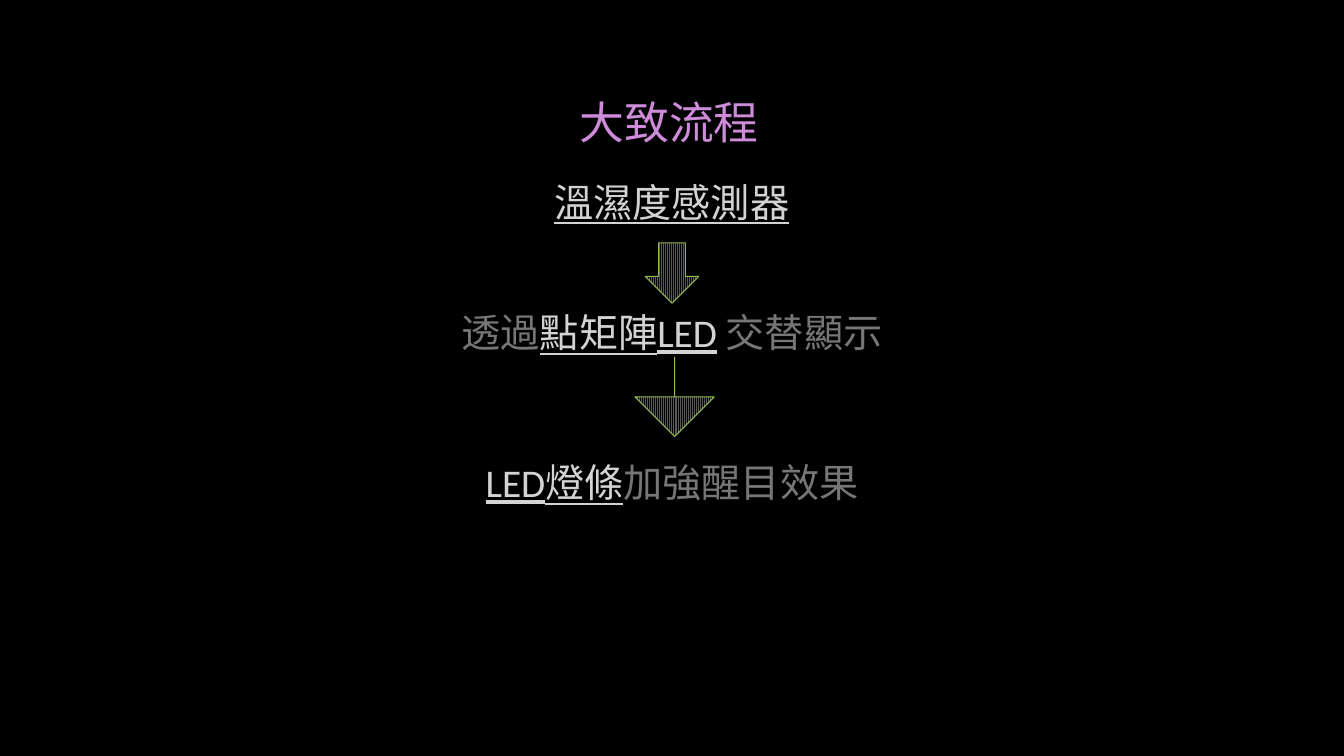
from pptx import Presentation
from pptx import util as u
from pptx.dml.color import RGBColor
from pptx.enum import dml, shapes, text
from pptx.oxml.xmlchemy import OxmlElement

COLORS = {
    "black": "000000", "title": "CD8BDA", "key": "D3D3D3", "plain": "767676",
    "stripe": "595959", "green": "90BA4C", "sketch": "93BC51",
}
SLIDE_WIDTH, SLIDE_HEIGHT = 33.87, 19.05
CENTER = SLIDE_WIDTH / 2


def color(name):
    return RGBColor.from_string(COLORS[name])


class FlowSlide:
    font = "Calibri"
    step_size = 28
    step_width, step_height = 16.94, 1.45
    arrow_width = 1.35

    def __init__(self, presentation):
        self.slide = presentation.slides.add_slide(presentation.slide_layouts[1])
        background = self.slide.background.fill
        background.solid()
        background.fore_color.rgb = color("black")

    def add_wording(self, frame, pieces, size, align, after=0):
        """Fill a text frame with (wording, colour, underlined) pieces."""
        frame.word_wrap = True
        paragraph = frame.paragraphs[0]
        spacing = {"alignment": align, "space_before": u.Pt(0), "space_after": u.Pt(after)}
        for name, value in spacing.items():
            setattr(paragraph, name, value)
        for wording, tone, underlined in pieces:
            run = paragraph.add_run()
            run.text = wording
            style = {"name": self.font, "size": u.Pt(size), "underline": underlined}
            for name, value in style.items():
                setattr(run.font, name, value)
            run.font.color.rgb = color(tone)
        return paragraph

    def place(self, holder, left, top, width, height):
        box = {"left": left, "top": top, "width": width, "height": height}
        for name, value in box.items():
            setattr(holder, name, u.Cm(value))
        holder.text_frame.auto_size = text.MSO_AUTO_SIZE.NONE
        holder.text_frame.vertical_anchor = text.MSO_ANCHOR.MIDDLE
        return holder.text_frame

    def title(self, wording):
        frame = self.place(self.slide.shapes.title, 14.35, 1.88, 5.18, 2.39)
        self.add_wording(frame, [(wording, "title", False)], 32, text.PP_ALIGN.LEFT)

    def first_step(self, wording):
        frame = self.place(self.slide.placeholders[1], 13.13, 4.42, 7.6, 1.32)
        paragraph = self.add_wording(frame, [(wording, "key", True)], self.step_size,
                                     text.PP_ALIGN.CENTER, after=10)
        properties = paragraph._p.get_or_add_pPr()
        properties.set("marL", "0")
        properties.set("indent", "0")
        properties.append(OxmlElement("a:buNone"))

    def step(self, top, pieces):
        box = self.slide.shapes.add_textbox(
            u.Cm(CENTER - self.step_width / 2), u.Cm(top),
            u.Cm(self.step_width), u.Cm(self.step_height))
        self.add_wording(box.text_frame, pieces, self.step_size, text.PP_ALIGN.CENTER)

    def hatch(self, arrow, outline):
        arrow.shadow.inherit = False
        arrow.fill.patterned()
        arrow.fill.pattern = dml.MSO_PATTERN.NARROW_VERTICAL
        arrow.fill.fore_color.rgb = color("stripe")
        arrow.fill.back_color.rgb = color("black")
        arrow.line.color.rgb = color(outline)
        arrow.line.width = u.Pt(0.75)

    def arrow(self, top, height):
        arrow = self.slide.shapes.add_shape(
            shapes.MSO_SHAPE.DOWN_ARROW, u.Cm(CENTER - self.arrow_width / 2),
            u.Cm(top), u.Cm(self.arrow_width), u.Cm(height))
        self.hatch(arrow, "green")

    def sketched_arrow(self, top, height):
        half, shaft = self.arrow_width / 2, self.arrow_width / 4
        tip = top + height
        neck = tip - half
        outline = [(-shaft, neck), (-shaft, top), (shaft, top), (shaft, neck),
                   (half, neck), (0, tip)]
        builder = self.slide.shapes.build_freeform(CENTER - half, neck, scale=u.Cm(1))
        builder.add_line_segments([(CENTER + x, y) for x, y in outline], close=True)
        self.hatch(builder.convert_to_shape(), "sketch")


def main():
    presentation = Presentation()
    presentation.slide_width = u.Cm(SLIDE_WIDTH)
    presentation.slide_height = u.Cm(SLIDE_HEIGHT)
    flow = FlowSlide(presentation)

    # Heading and sensor
    flow.title("大致流程")
    flow.first_step("溫濕度感測器")

    # Dot matrix display
    flow.arrow(6.12, 1.52)
    flow.step(7.65, [("透過", "plain", False), ("點矩陣LED", "key", True),
                     (" ", "key", False), ("交替顯示", "plain", False)])

    # Light strip
    flow.sketched_arrow(9.25, 1.65)
    flow.step(11.43, [("LED燈條", "key", True), ("加強醒目效果", "plain", False)])

    presentation.save("out.pptx")


if __name__ == "__main__":
    main()
